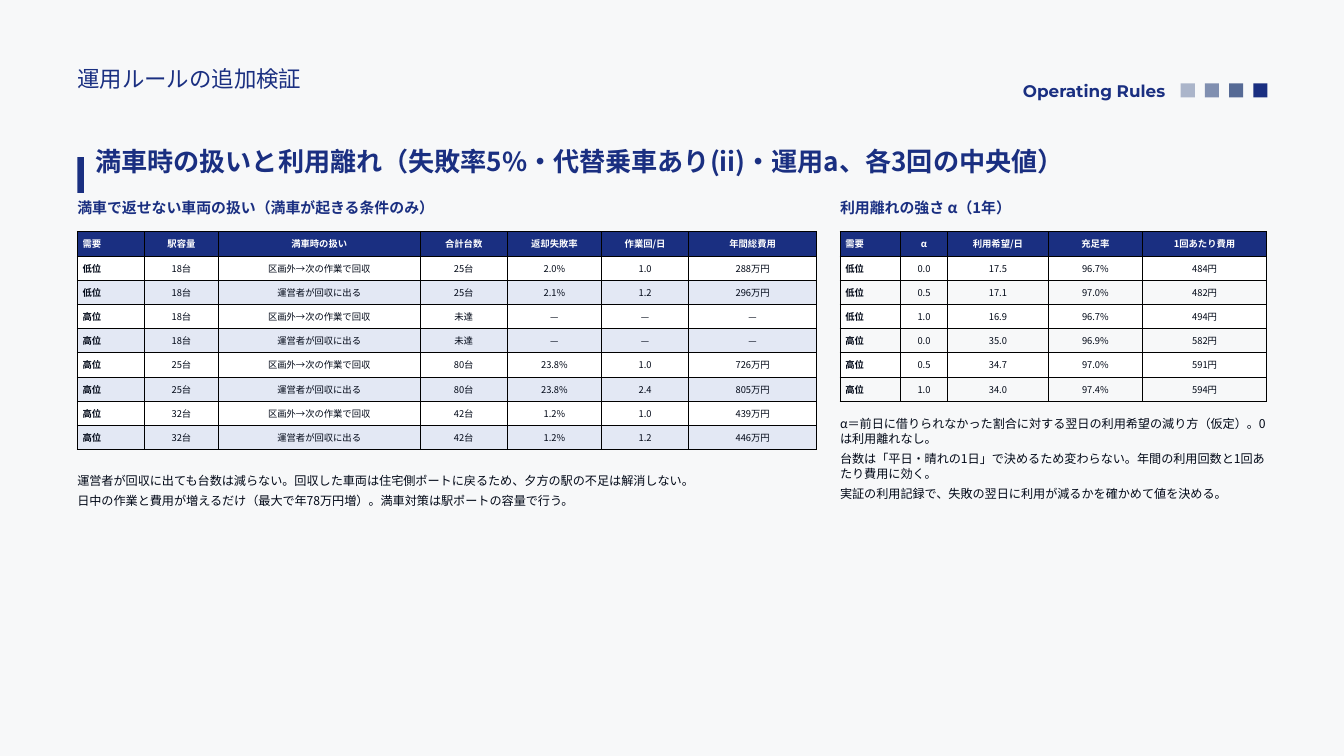
from lxml.etree import SubElement
from pptx import Presentation
from pptx.dml.color import RGBColor
from pptx.enum.shapes import MSO_SHAPE
from pptx.enum.text import MSO_ANCHOR, MSO_AUTO_SIZE, PP_ALIGN
from pptx.oxml.ns import qn
from pptx.util import Inches, Pt

NAVY, INK, WHITE, PALE, BAND = "1A2F81", "010817", "FFFFFF", "F7F8F9", "E3E8F4"
SANS, LATIN = "Noto Sans CJK JP", "Montserrat"
ROW_HEIGHT = 0.36

STATION_COLUMNS = [1, 1.1, 3, 1.3, 1.4, 1.3, 1.9]
NEXT_WORK, OPERATOR = "区画外→次の作業で回収", "運営者が回収に出る"
STATION_ROWS = [
    ["需要", "駅容量", "満車時の扱い", "合計台数", "返却失敗率", "作業回/日", "年間総費用"],
    ["低位", "18台", NEXT_WORK, "25台", "2.0%", "1.0", "288万円"],
    ["低位", "18台", OPERATOR, "25台", "2.1%", "1.2", "296万円"],
    ["高位", "18台", NEXT_WORK, "未達", "—", "—", "—"],
    ["高位", "18台", OPERATOR, "未達", "—", "—", "—"],
    ["高位", "25台", NEXT_WORK, "80台", "23.8%", "1.0", "726万円"],
    ["高位", "25台", OPERATOR, "80台", "23.8%", "2.4", "805万円"],
    ["高位", "32台", NEXT_WORK, "42台", "1.2%", "1.0", "439万円"],
    ["高位", "32台", OPERATOR, "42台", "1.2%", "1.2", "446万円"],
]
STATION_NOTES = [
    "運営者が回収に出ても台数は減らない。回収した車両は住宅側ポートに戻るため、夕方の駅の不足は解消しない。",
    "日中の作業と費用が増えるだけ（最大で年78万円増）。満車対策は駅ポートの容量で行う。",
]

CHURN_COLUMNS = [0.9, 0.7, 1.5, 1.4, 1.85]
CHURN_ROWS = [
    ["需要", "α", "利用希望/日", "充足率", "1回あたり費用"],
    ["低位", "0.0", "17.5", "96.7%", "484円"],
    ["低位", "0.5", "17.1", "97.0%", "482円"],
    ["低位", "1.0", "16.9", "96.7%", "494円"],
    ["高位", "0.0", "35.0", "96.9%", "582円"],
    ["高位", "0.5", "34.7", "97.0%", "591円"],
    ["高位", "1.0", "34.0", "97.4%", "594円"],
]
CHURN_NOTES = [
    "α＝前日に借りられなかった割合に対する翌日の利用希望の減り方（仮定）。0は利用離れなし。",
    "台数は「平日・晴れの1日」で決めるため変わらない。年間の利用回数と1回あたり費用に効く。",
    "実証の利用記録で、失敗の翌日に利用が減るかを確かめて値を決める。",
]


def color(value):
    return RGBColor.from_string(value)


def style(para, size, ink, bold=False, face=SANS):
    font = para.font
    font.size, font.bold, font.name = Pt(size), bold, face
    font.color.rgb = color(ink)
    # East Asian glyphs take their own typeface element
    defaults = para._p.pPr.find(qn("a:defRPr"))
    SubElement(defaults, qn("a:ea"), typeface=face)


def add_text(page, box, lines, size, ink, bold=False, face=SANS,
             align=None, leading=None, after=None):
    shape = page.shapes.add_textbox(*map(Inches, box))
    frame = shape.text_frame
    frame.word_wrap = True
    frame.auto_size = MSO_AUTO_SIZE.SHAPE_TO_FIT_TEXT
    frame.margin_left = frame.margin_right = 0
    frame.margin_top = frame.margin_bottom = 0
    for index, line in enumerate(lines):
        para = frame.paragraphs[0] if index == 0 else frame.add_paragraph()
        para.text = line
        if align is not None:
            para.alignment = align
        if leading is not None:
            para.line_spacing = Pt(leading)
        if after is not None:
            para.space_after = Pt(after)
        style(para, size, ink, bold, face)


def add_block(page, box, fill):
    block = page.shapes.add_shape(MSO_SHAPE.RECTANGLE, *map(Inches, box))
    block.shadow.inherit = False
    block.fill.solid()
    block.fill.fore_color.rgb = color(fill)
    block.line.fill.background()


def add_borders(cell):
    properties = cell._tc.get_or_add_tcPr()
    for index, side in enumerate(("lnL", "lnR", "lnT", "lnB")):
        line = properties.makeelement(qn(f"a:{side}"), {"w": str(Pt(1))})
        solid = SubElement(line, qn("a:solidFill"))
        SubElement(solid, qn("a:srgbClr"), val="000000")
        properties.insert(index, line)


def add_grid(page, left, top, columns, rows, band):
    size = (sum(columns), ROW_HEIGHT * len(rows))
    frame = page.shapes.add_table(len(rows), len(columns),
                                  *map(Inches, (left, top, *size)))
    table = frame.table
    table.horz_banding = False
    for column, width in zip(table.columns, columns):
        column.width = Inches(width)
    for r, values in enumerate(rows):
        table.rows[r].height = Inches(ROW_HEIGHT)
        fill = NAVY if r == 0 else WHITE if r % 2 else band
        for c, value in enumerate(values):
            cell = table.cell(r, c)
            cell.vertical_anchor = MSO_ANCHOR.MIDDLE
            cell.margin_left = cell.margin_right = Inches(0.08)
            cell.margin_top = cell.margin_bottom = Inches(0.03)
            cell.fill.solid()
            cell.fill.fore_color.rgb = color(fill)
            add_borders(cell)
            para = cell.text_frame.paragraphs[0]
            para.text = value
            para.alignment = PP_ALIGN.CENTER if c else PP_ALIGN.LEFT
            style(para, 10, INK if r else WHITE, bold=r == 0 or c == 0)


def add_header(page, box):
    left, top, width, height = box
    add_text(page, (left, top, width / 2, height), ["運用ルールの追加検証"],
             24, NAVY, leading=33.6)
    add_text(page, (left + 8.88, top + 0.24, 7.31, 0.34), ["Operating Rules"],
             18, NAVY, True, LATIN, PP_ALIGN.RIGHT, 25.2)
    # Row of squares, light to dark
    for index, fill in enumerate(("ABB5CA", "808FB0", "566A95", NAVY)):
        add_block(page, (left + 16.42 + 0.36 * index, top + 0.33, 0.21, 0.21), fill)


def add_title(page, box):
    left, top, width, height = box
    add_block(page, (left, top + 0.25, 0.1, 0.53), NAVY)
    add_text(page, (left + 0.27, top, width - 0.27, height),
             ["満車時の扱いと利用離れ（失敗率5%・代替乗車あり(ii)・運用a、各3回の中央値）"],
             28, NAVY, True, leading=39.2)


def add_panel(page, box, heading, columns, rows, band, notes, notes_top, notes_height):
    left, top, width, heading_height = box
    add_text(page, (left, top, width, heading_height), [heading], 16, NAVY, True, after=6)
    add_grid(page, left, top + 0.5, columns, rows, band)
    add_text(page, (left, notes_top, width, notes_height), notes, 13, INK, after=6)


def main():
    deck = Presentation()
    deck.slide_width, deck.slide_height = Inches(20), Inches(11.25)
    page = deck.slides.add_slide(deck.slide_layouts[6])
    page.background.fill.solid()
    page.background.fill.fore_color.rgb = color(PALE)

    add_header(page, (1.15, 0.91, 17.7, 0.63))
    add_title(page, (1.15, 2.09, 17.67, 0.75))
    # Left panel: full stations; right panel: user churn
    add_panel(page, (1.15, 2.95, 11, 0.4), "満車で返せない車両の扱い（満車が起きる条件のみ）",
              STATION_COLUMNS, STATION_ROWS, BAND, STATION_NOTES, 7.04, 1.3)
    add_panel(page, (12.5, 2.95, 6.35, 0.4), "利用離れの強さ α（1年）",
              CHURN_COLUMNS, CHURN_ROWS, PALE, CHURN_NOTES, 6.2, 3.8)
    deck.save("out.pptx")


if __name__ == "__main__":
    main()
